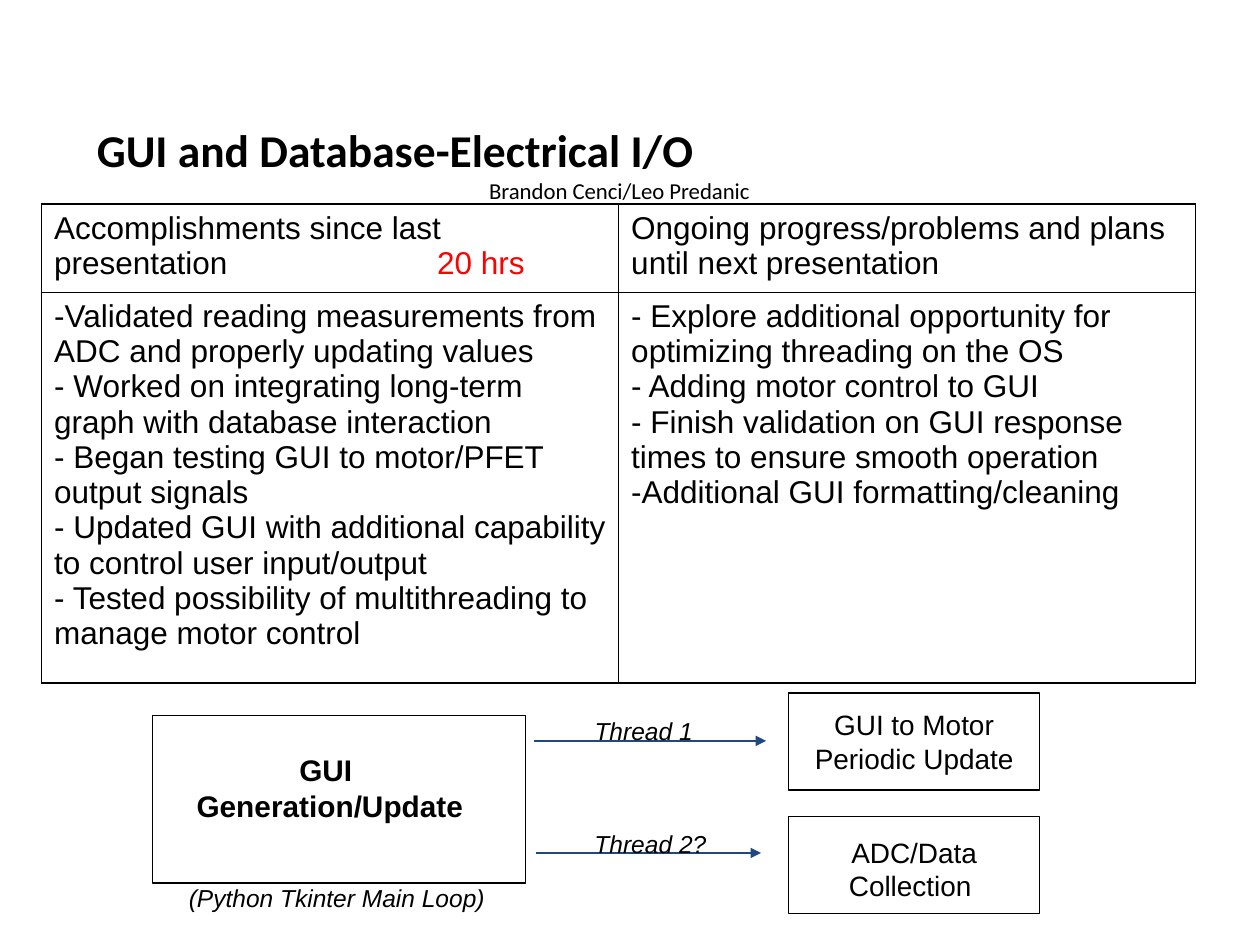
from lxml import etree
from pptx import Presentation
from pptx.dml.color import RGBColor
from pptx.enum import shapes, text
from pptx.oxml.ns import qn
from pptx.util import Inches, Pt

BLACK, WHITE, RED, NAVY = "000000", "FFFFFF", "FF0000", "1F497D"

TITLE = "GUI and Database-Electrical I/O"
AUTHORS = "Brandon Cenci/Leo Predanic"
HEADINGS = [
    [("Accomplishments since last presentation\t", BLACK), ("20 hrs", RED)],
    [("Ongoing progress/problems and plans until next presentation", BLACK)],
]
ITEMS = [
    ["-Validated reading measurements from ADC and properly updating values",
     "- Worked on integrating long-term graph with database interaction",
     "- Began testing GUI to motor/PFET output signals",
     "- Updated GUI with additional capability to control user input/output",
     "- Tested possibility of multithreading to manage motor control"],
    ["- Explore additional opportunity for optimizing threading on the OS",
     "- Adding motor control to GUI",
     "- Finish validation on GUI response times to ensure smooth operation",
     "-Additional GUI formatting/cleaning"],
]
# lines, (left, top, width, height), size, bold, insets (left, top, right, bottom)
BOXES = [
    (["GUI ", "Generation/Update"], (1.21, 5.68, 2.96, 1.33), 17, True, (0.1, 0.1, 0.24, 0.29)),
    (["GUI to Motor", "Periodic Update"], (6.26, 5.5, 1.99, 0.77), 16, False, (0.1, 0.1, 0.1, 0.1)),
    (["ADC/Data", "Collection "], (6.26, 6.48, 1.99, 0.77), 16, False, (0.1, 0.12, 0.1, 0.06)),
]
LABELS = [
    ("Thread 1", (4.62, 5.58, 1.08, 0.44)),
    ("Thread 2?", (4.62, 6.48, 1.44, 0.44)),
    ("(Python Tkinter Main Loop)", (1.4, 6.91, 2.66, 0.44)),
]
ARROWS = [(4.24, 6.08, 5.88), (4.25, 6.04, 6.77)]  # from x, to x, y
TABLE_LEFT, TABLE_TOP, COLUMN_WIDTH = 0.33, 1.62, 4.58
ROW_HEIGHTS = [0.7, 3.1]
HOURS_TAB = 3.04


def color(value):
    return RGBColor.from_string(value)


def inches(values):
    return [Inches(v) for v in values]


def add_run(paragraph, words, size, fill=BLACK, font="Arial", bold=False, italic=False):
    run = paragraph.add_run()
    run.text = words
    run.font.size, run.font.name = Pt(size), font
    run.font.bold, run.font.italic = bold, italic
    run.font.color.rgb = color(fill)


def paragraphs(frame, count):
    """The frame's first paragraph and as many new ones as needed."""
    return [frame.paragraphs[0]] + [frame.add_paragraph() for _ in range(count - 1)]


def set_insets(frame, insets):
    frame.word_wrap = True
    (frame.margin_left, frame.margin_top,
     frame.margin_right, frame.margin_bottom) = inches(insets)


def add_text_box(slide, place, insets):
    frame = slide.shapes.add_textbox(*inches(place)).text_frame
    set_insets(frame, insets)
    return frame


def add_title(slide):
    frame = add_text_box(slide, (0.33, 0.92, 9.17, 0.54), (0.1, 0.05, 0.1, 0.05))
    title, authors = paragraphs(frame, 2)
    title._p.get_or_add_pPr().set("marL", str(Inches(0.34)))
    authors.alignment = text.PP_ALIGN.CENTER
    add_run(title, TITLE, 26, font="Calibri", bold=True)
    add_run(authors, AUTHORS, 13, font="Calibri")


def style_cell(cell):
    properties = cell._tc.get_or_add_tcPr()
    for side in ("a:lnL", "a:lnR", "a:lnT", "a:lnB"):
        line = etree.SubElement(properties, qn(side), w=str(Pt(1)))
        fill = etree.SubElement(line, qn("a:solidFill"))
        etree.SubElement(fill, qn("a:srgbClr"), val=BLACK)
    cell.fill.background()


def add_progress_table(slide):
    table = slide.shapes.add_table(2, 2, *inches(
        (TABLE_LEFT, TABLE_TOP, 2 * COLUMN_WIDTH, sum(ROW_HEIGHTS)))).table
    table.first_row = table.horz_banding = False
    for row, height in zip(table.rows, ROW_HEIGHTS):
        row.height = Inches(height)
    for index, (heading, items) in enumerate(zip(HEADINGS, ITEMS)):
        table.columns[index].width = Inches(COLUMN_WIDTH)
        head, body = table.cell(0, index), table.cell(1, index)
        style_cell(head)
        style_cell(body)
        paragraph = head.text_frame.paragraphs[0]
        tabs = etree.SubElement(paragraph._p.get_or_add_pPr(), qn("a:tabLst"))
        etree.SubElement(tabs, qn("a:tab"), pos=str(Inches(HOURS_TAB)), algn="l")
        for words, fill in heading:
            add_run(paragraph, words, 18, fill)
        for paragraph, item in zip(paragraphs(body.text_frame, len(items)), items):
            add_run(paragraph, item, 18)


def add_box(slide, lines, place, size, bold, insets):
    box = slide.shapes.add_shape(shapes.MSO_SHAPE.RECTANGLE, *inches(place))
    box.shadow.inherit = False
    box.fill.solid()
    box.fill.fore_color.rgb = color(WHITE)
    box.line.color.rgb = color(BLACK)
    box.line.width = Pt(0.75)
    frame = box.text_frame
    set_insets(frame, insets)
    frame.vertical_anchor = text.MSO_ANCHOR.MIDDLE
    for paragraph, words in zip(paragraphs(frame, len(lines)), lines):
        paragraph.alignment = text.PP_ALIGN.CENTER
        add_run(paragraph, words, size, bold=bold)


def add_arrow(slide, start, end, y):
    arrow = slide.shapes.add_connector(
        shapes.MSO_CONNECTOR.STRAIGHT, *inches((start, y, end, y)))
    arrow.line.color.rgb = color(NAVY)
    arrow.line.width = Pt(0.75)
    etree.SubElement(arrow.line._get_or_add_ln(), qn("a:tailEnd"), type="triangle")
    etree.SubElement(arrow._element.spPr, qn("a:effectLst"))


def main():
    deck = Presentation()
    deck.slide_width, deck.slide_height = Inches(10), Inches(7.5)
    slide = deck.slides.add_slide(deck.slide_layouts[6])
    add_title(slide)
    add_progress_table(slide)
    for box in BOXES:
        add_box(slide, *box)
    for arrow in ARROWS:
        add_arrow(slide, *arrow)
    for words, place in LABELS:
        frame = add_text_box(slide, place, (0.1, 0.1, 0.1, 0.1))
        add_run(frame.paragraphs[0], words, 14, italic=True)
    deck.save("out.pptx")


if __name__ == "__main__":
    main()
